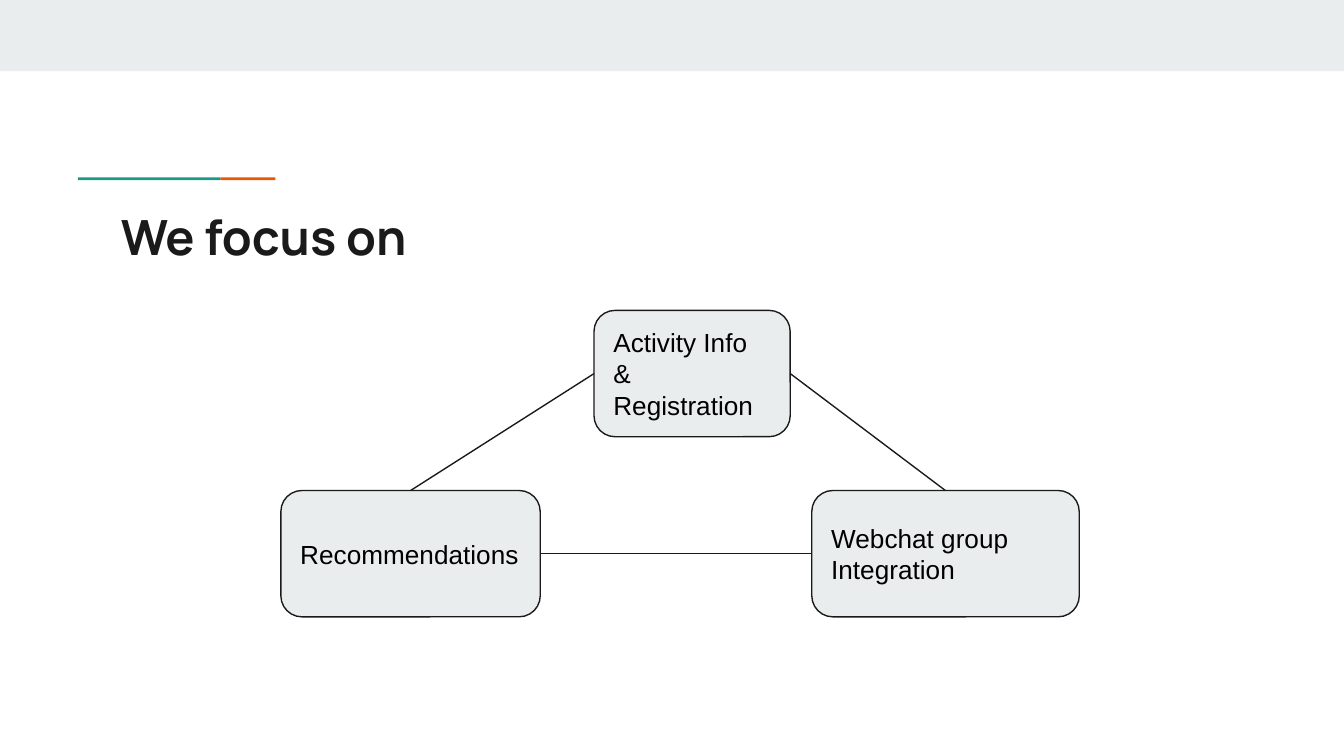
import pptx
import pptx.dml.color
import pptx.enum.shapes
import pptx.enum.text
import pptx.oxml
import pptx.util

Inches = pptx.util.Inches
Pt = pptx.util.Pt
RGBColor = pptx.dml.color.RGBColor
Shape = pptx.enum.shapes.MSO_SHAPE
Anchor = pptx.enum.text.MSO_ANCHOR
Align = pptx.enum.text.PP_ALIGN

PALE = RGBColor(0xE9, 0xED, 0xEE)
TEAL = RGBColor(0x1A, 0x99, 0x88)
ORANGE = RGBColor(0xEB, 0x56, 0x00)
INK = RGBColor(0x1A, 0x1A, 0x1A)
BLACK = RGBColor(0, 0, 0)

TOP, LEFT, RIGHT = 0, 1, 3
MARGINS = {f"margin_{side}": Inches(0.1) for side in ("left", "top", "right", "bottom")}
FRAME = {**MARGINS, "word_wrap": True, "auto_size": pptx.enum.text.MSO_AUTO_SIZE.NONE}
TITLE_FONT = {"name": "Manrope", "size": Pt(26), "bold": True}
TOPIC_FONT = {"name": "Arial", "size": Pt(14), "bold": False}


def add_filled(kind, box, color):
    panel = slide.shapes.add_shape(kind, *map(Inches, box))
    panel.shadow.inherit = False
    panel.fill.solid()
    panel.fill.fore_color.rgb = color
    panel.line.fill.background()
    return panel


def write(holder, text, anchor, font_format, color):
    frame = holder.text_frame
    for key, value in {**FRAME, "vertical_anchor": anchor}.items():
        setattr(frame, key, value)
    paragraph = frame.paragraphs[0]
    paragraph.alignment = Align.LEFT
    run = paragraph.add_run()
    run.text = text
    for key, value in font_format.items():
        setattr(run.font, key, value)
    run.font.color.rgb = color


prs = pptx.Presentation()
prs.slide_width = Inches(10)
prs.slide_height = Inches(10 * 9 / 16)
slide = prs.slides.add_slide(prs.slide_layouts[5])

bands = [
    ((0, 0, 10, 0.53), PALE),
    ((1.64, 1.32, 0.41, 0.02), ORANGE),
    ((0.58, 1.32, 1.06, 0.02), TEAL),
]
for box, color in bands:
    add_filled(Shape.RECTANGLE, box, color)

heading = slide.shapes.title
place = {"left": 0.8, "top": 1.44, "width": 8.41, "height": 0.59}
for key, value in place.items():
    setattr(heading, key, Inches(value))
write(heading, "We focus on", Anchor.TOP, TITLE_FONT, INK)

topics = [
    ("Activity Info & Registration", 4.42, 2.31, 1.46),
    ("Recommendations", 2.09, 3.65, 1.93),
    ("Webchat group Integration", 6.04, 3.65, 1.99),
]
cards = []
for text, left, top, width in topics:
    card = add_filled(Shape.ROUNDED_RECTANGLE, (left, top, width, 0.94), PALE)
    card.line.color.rgb = INK
    card.line.width = Pt(0.75)
    write(card, text, Anchor.MIDDLE, TOPIC_FONT, BLACK)
    cards.append(card)

activity, recommendations, group = cards
links = [
    (activity, LEFT, recommendations, TOP),
    (activity, RIGHT, group, TOP),
    (recommendations, RIGHT, group, LEFT),
]
for source, source_site, target, target_site in links:
    link = slide.shapes.add_connector(pptx.enum.shapes.MSO_CONNECTOR.STRAIGHT, 0, 0, 0, 0)
    link.begin_connect(source, source_site)
    link.end_connect(target, target_site)
    link.line.color.rgb = INK
    link.line.width = Pt(0.75)
    link._element.spPr.append(pptx.oxml.parse_xml(
        '<a:effectLst xmlns:a="http://schemas.openxmlformats.org/drawingml/2006/main"/>'))

prs.save("out.pptx")
